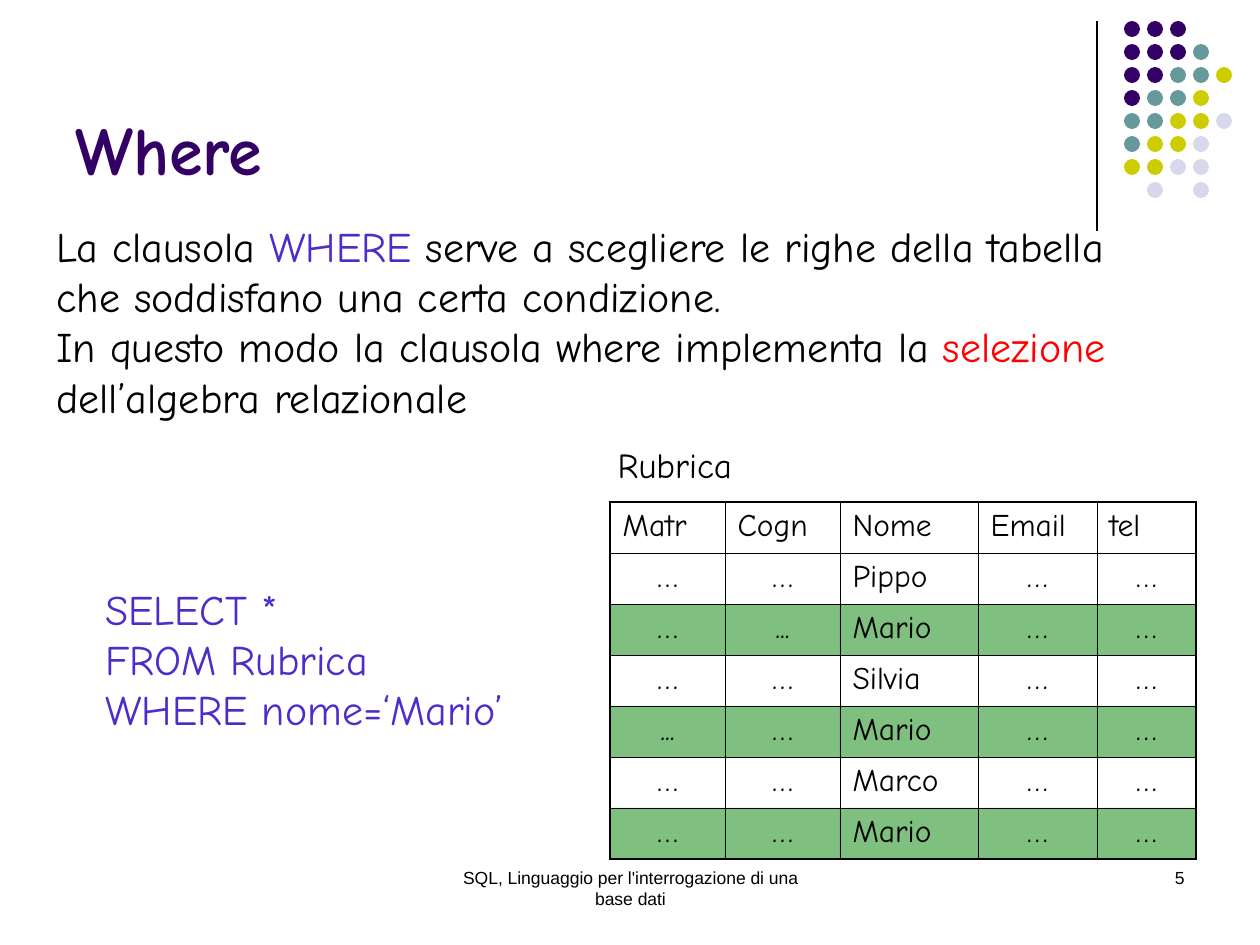
"""Build the slide on the SQL WHERE clause."""
from lxml import etree
from pptx import Presentation
from pptx import util as u
from pptx.dml.color import RGBColor
from pptx.enum import shapes, text
from pptx.oxml.ns import qn

EMU_PER_PX = 914400 / 126
FONT = "Comic Neue"
BLACK, PURPLE, BLUE, RED = "000000", "330066", "4E2CCA", "FF0000"
DOT_COLORS = {"P": PURPLE, "T": "669999", "Y": "CCCC00", "L": "D8D8EC"}
DOT_ROWS = ["PPP", "PPPT", "PPTTY", "PTTY", "TTYYL", "TYYL", "YYLL", " L L"]
COLUMN_WIDTHS = [115, 115, 138, 119, 99]
ROW_HEIGHT = 51
HEADER = ["Matr", "Cogn", "Nome", "Email", "tel"]
RECORDS = [
    ["…", "…", "Pippo", "…", "…"],
    ["…", "...", "Mario", "…", "…"],
    ["…", "…", "Silvia", "…", "…"],
    ["...", "…", "Mario", "…", "…"],
    ["…", "…", "Marco", "…", "…"],
    ["…", "…", "Mario", "…", "…"],
]


def px(length):
    """Turn pixels into EMU."""
    return u.Emu(round(length * EMU_PER_PX))


def rgb(value):
    """Turn a hex string into a colour."""
    return RGBColor.from_string(value)


def style_paragraph(paragraph, size, color, name=FONT, bold=False, align=text.PP_ALIGN.LEFT):
    """Set the alignment and font of a paragraph."""
    paragraph.alignment = align
    font = paragraph.font
    font.name, font.size, font.bold = name, u.Pt(size), bold
    font.color.rgb = rgb(color)


def add_text(slide, box, paragraphs, size, color=BLACK, wrap=True, anchor=text.MSO_ANCHOR.TOP, **style):
    """Add a text box whose paragraphs are lists of (text, colour or None) runs."""
    frame = slide.shapes.add_textbox(*map(px, box)).text_frame
    frame.word_wrap = wrap
    frame.vertical_anchor = anchor
    for index, runs in enumerate(paragraphs):
        paragraph = frame.add_paragraph() if index else frame.paragraphs[0]
        style_paragraph(paragraph, size, color, **style)
        for wording, run_color in runs:
            run = paragraph.add_run()
            run.text = wording
            if run_color:
                run.font.color.rgb = rgb(run_color)


def add_rule(slide, x, top, bottom):
    """Add the thin vertical line beside the dots."""
    line = slide.shapes.add_connector(shapes.MSO_CONNECTOR.STRAIGHT, px(x), px(top), px(x), px(bottom))
    line.line.color.rgb = rgb(BLACK)
    line.line.width = u.Pt(0.75)
    etree.SubElement(line._element.spPr, qn("a:effectLst"))


def add_dots(slide, left, top, pitch, size):
    """Add the grouped grid of coloured dots."""
    group = slide.shapes.add_group_shape()
    for row, letters in enumerate(DOT_ROWS):
        for column, letter in enumerate(letters):
            if letter in DOT_COLORS:
                dot = group.shapes.add_shape(
                    shapes.MSO_SHAPE.OVAL, px(left + column * pitch), px(top + row * pitch), px(size), px(size)
                )
                dot.shadow.inherit = False
                dot.fill.solid()
                dot.fill.fore_color.rgb = rgb(DOT_COLORS[letter])
                dot.line.fill.background()


def add_border(cell, side, width):
    """Draw one black side of a cell."""
    line = etree.SubElement(cell._tc.get_or_add_tcPr(), qn(f"a:ln{side}"), w=str(u.Pt(width)))
    fill = etree.SubElement(line, qn("a:solidFill"))
    etree.SubElement(fill, qn("a:srgbClr"), val=BLACK)


def fill_cell(cell, selected):
    """Tint a selected cell half-transparent green and leave others clear."""
    if not selected:
        cell.fill.background()
        return
    cell.fill.solid()
    cell.fill.fore_color.rgb = rgb("008000")
    color = cell._tc.tcPr.find(f"{qn('a:solidFill')}/{qn('a:srgbClr')}")
    etree.SubElement(color, qn("a:alpha"), val="50000")


def add_directory(slide, left, top):
    """Add the table with the rows for Mario highlighted."""
    rows = [HEADER] + RECORDS
    last_row, last_column = len(rows) - 1, len(HEADER) - 1
    table = slide.shapes.add_table(
        len(rows), len(HEADER), px(left), px(top), px(sum(COLUMN_WIDTHS)), px(ROW_HEIGHT * len(rows))
    ).table
    table.first_row = table.horz_banding = False
    for column, width in zip(table.columns, COLUMN_WIDTHS):
        column.width = px(width)
    for row, values in enumerate(rows):
        table.rows[row].height = px(ROW_HEIGHT)
        for column, value in enumerate(values):
            cell = table.cell(row, column)
            cell.text = value
            align = text.PP_ALIGN.CENTER if value in ("…", "...") else text.PP_ALIGN.LEFT
            style_paragraph(cell.text_frame.paragraphs[0], 18, BLACK, align=align)
            outer = {"L": column == 0, "R": column == last_column, "T": row == 0, "B": row == last_row}
            for side, is_outer in outer.items():
                add_border(cell, side, 1.08 if is_outer else 0.45)
            fill_cell(cell, "Mario" in values)


def main():
    """Build and save the slide."""
    presentation = Presentation()
    presentation.slide_width, presentation.slide_height = px(1260), px(945)
    slide = presentation.slides.add_slide(presentation.slide_layouts[6])
    add_rule(slide, 1097, 21, 231)
    add_dots(slide, 1124, 21, 23, 16)
    add_text(slide, (431, 861, 399, 63), [[("SQL, Linguaggio per l'interrogazione di una base dati", None)]],
             10, name="Arial", align=text.PP_ALIGN.CENTER)
    add_text(slide, (903, 861, 294, 63), [[("5", None)]], 10, name="Arial", align=text.PP_ALIGN.RIGHT)
    add_text(slide, (63, 16, 1040, 179), [[("Where", None)]], 39, PURPLE,
             anchor=text.MSO_ANCHOR.BOTTOM, bold=True)
    add_text(slide, (44, 214, 1081, 214), [
        [("La clausola ", None), ("WHERE", BLUE),
         (" serve a scegliere le righe della tabella che soddisfano una certa condizione.", None)],
        [("In questo modo la clausola where implementa la ", None), ("selezione", RED),
         (" dell’algebra relazionale", None)],
    ], 24)
    add_directory(slide, 610, 502)
    query = ["SELECT *", "FROM Rubrica", "WHERE nome=‘Mario’"]
    add_text(slide, (93, 577, 423, 164), [[(line, None)] for line in query], 24, BLUE, wrap=False)
    add_text(slide, (605, 437, 140, 55), [[("Rubrica", None)]], 20, wrap=False, align=text.PP_ALIGN.CENTER)
    presentation.save("out.pptx")


if __name__ == "__main__":
    main()
